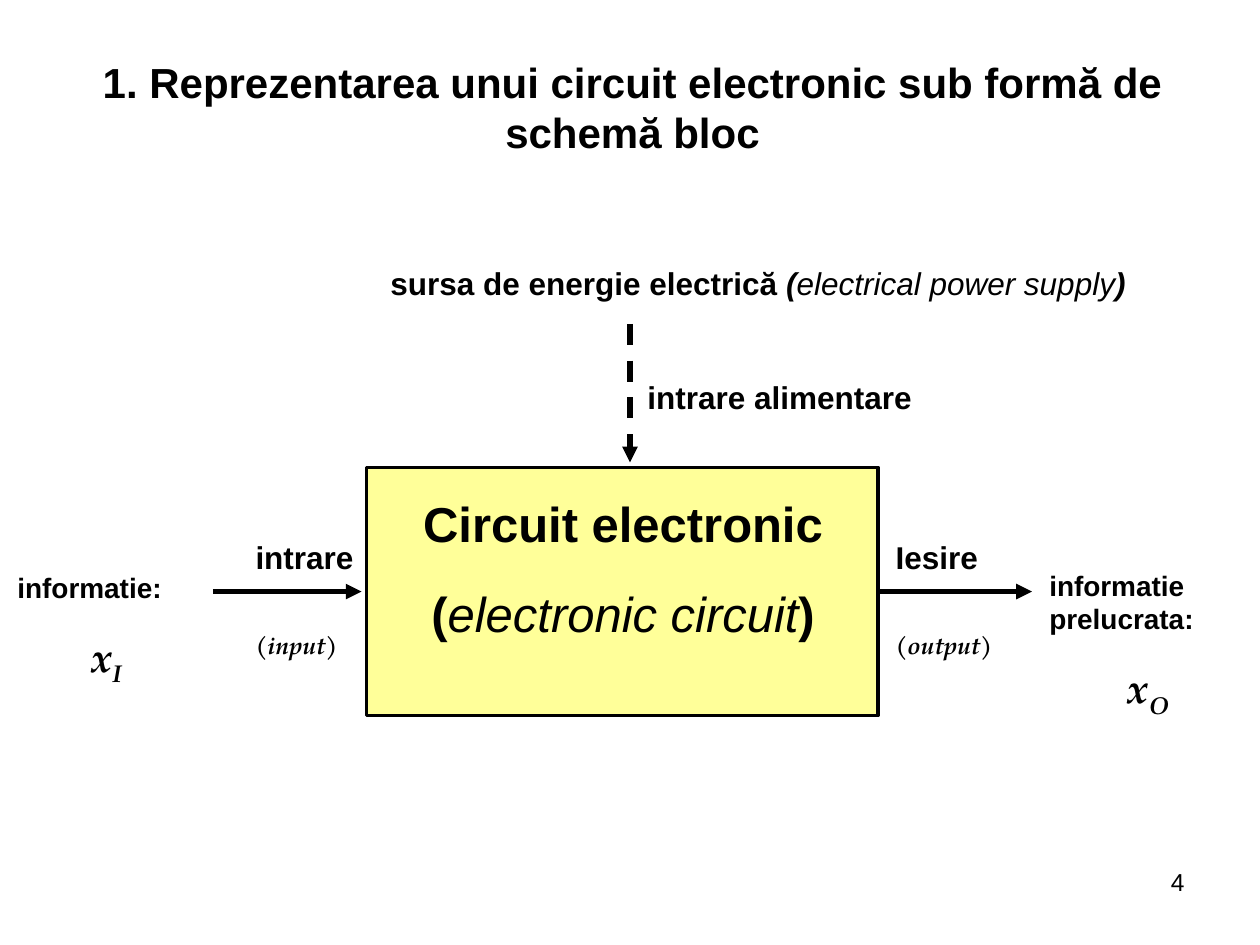
from lxml import etree
from pptx import Presentation
from pptx.dml.color import RGBColor
from pptx.enum.dml import MSO_LINE_DASH_STYLE as DASH
from pptx.enum.shapes import MSO_CONNECTOR, MSO_SHAPE
from pptx.enum.text import PP_ALIGN as ALIGN
from pptx.oxml.ns import qn
from pptx.util import Inches, Pt

SANS, SERIF = "Arial", "TeX Gyre Pagella"
BLACK, YELLOW = "000000", "FFFF99"


def color(hex_value):
    return RGBColor.from_string(hex_value)


def run(text, size, bold=True, italic=False, font=SANS, subscript=False):
    return text, size, bold, italic, font, subscript


def symbol(text, subscript=False):
    return run(text, 24, italic=True, font=SERIF, subscript=subscript)


def add_text(slide, box, *paragraphs):
    """Each paragraph is (runs, alignment, space before in points)."""
    tf = slide.shapes.add_textbox(*map(Inches, box)).text_frame
    tf.word_wrap = True
    for i, (runs, align, space) in enumerate(paragraphs):
        p = tf.paragraphs[0] if i == 0 else tf.add_paragraph()
        p.alignment = align
        p.space_before = Pt(space)
        for text, size, bold, italic, font, subscript in runs:
            r = p.add_run()
            r.text = text
            f = r.font
            f.size, f.bold, f.italic, f.name = Pt(size), bold, italic, font
            f.color.rgb = color(BLACK)
            if subscript:
                r._r.get_or_add_rPr().set("baseline", "-25000")


def add_arrow(slide, start, end, dash=None):
    line = slide.shapes.add_connector(
        MSO_CONNECTOR.STRAIGHT, *map(Inches, (*start, *end)))
    line.line.color.rgb = color(BLACK)
    line.line.width = Pt(3)
    if dash:
        line.line.dash_style = dash
    etree.SubElement(line.line._get_or_add_ln(), qn("a:tailEnd"), type="triangle")
    etree.SubElement(line._element.spPr, qn("a:effectLst"))
    return line


def add_title(slide, box):
    title = "1. Reprezentarea unui circuit electronic sub formă de schemă bloc"
    add_text(slide, box, ([run(title, 24)], ALIGN.CENTER, 0))


def add_circuit_block(slide, box):
    left, top, width, height = box
    sp = slide.shapes.add_shape(MSO_SHAPE.RECTANGLE, *map(Inches, box))
    sp.shadow.inherit = False
    sp.fill.solid()
    sp.fill.fore_color.rgb = color(YELLOW)
    sp.line.color.rgb = color(BLACK)
    sp.line.width = Pt(2)
    add_text(slide, (left + 0.32, top + 0.16, width - 0.63, 1.28),
             ([run("Circuit electronic", 28)], ALIGN.CENTER, 0),
             ([run("(", 28), run("electronic circuit", 28, False, True),
               run(")", 28)], ALIGN.CENTER, 17.5))
    return sp


def add_port(slide, left, top, name, english):
    add_text(slide, (left, top, 1.46, 1.07),
             ([run(name, 18)], ALIGN.LEFT, 0),
             ([symbol(english, subscript=True)], ALIGN.LEFT, 15))


def add_signal(slide, box, label, index):
    add_text(slide, box,
             ([run(label, 16)], ALIGN.LEFT, 0),
             ([symbol("x"), symbol(index, subscript=True)], ALIGN.CENTER, 15))


def add_power_supply(slide, left, top):
    add_text(slide, (left, top, 6.51, 0.4),
             ([run("sursa de energie electrică ", 18), run("(", 18, True, True),
               run("electrical power supply", 18, False, True),
               run(")", 18, True, True)], ALIGN.LEFT, 0))
    add_text(slide, (left + 2.04, top + 0.9, 2.32, 0.4),
             ([run("intrare alimentare", 18)], ALIGN.LEFT, 0))
    x = left + 2
    add_arrow(slide, (x, top + 0.52), (x, top + 1.62), DASH.DASH)


def add_block_diagram(slide, box):
    left, top, width, height = box
    right, middle = left + width, top + height / 2
    block = add_circuit_block(slide, box)
    add_arrow(slide, (left - 1.22, middle), (left - 0.04, middle))
    output = add_arrow(slide, (right, middle), (right + 1.22, middle))
    output.begin_connect(block, 3)
    add_port(slide, left - 0.98, top + 0.51, "intrare", "(input)")
    add_port(slide, right + 0.04, top + 0.51, "Iesire", "(output)")
    add_signal(slide, (left - 2.87, top + 0.77, 1.61, 1.03), "informatie:", "I")
    add_signal(slide, (right + 1.26, top + 0.75, 1.77, 1.3),
               "informatie prelucrata:", "O")
    add_power_supply(slide, left + 0.09, top - 1.66)


def main():
    prs = Presentation()
    prs.slide_width, prs.slide_height = Inches(10), Inches(7.5)
    slide = prs.slides.add_slide(prs.slide_layouts[6])
    add_title(slide, (0.12, 0.4, 9.8, 0.9))
    add_block_diagram(slide, (2.91, 3.71, 4.06, 1.97))
    add_text(slide, (7.17, 6.83, 2.33, 0.52),
             ([run("4", 14, bold=False)], ALIGN.RIGHT, 0))
    prs.save("out.pptx")


if __name__ == "__main__":
    main()
